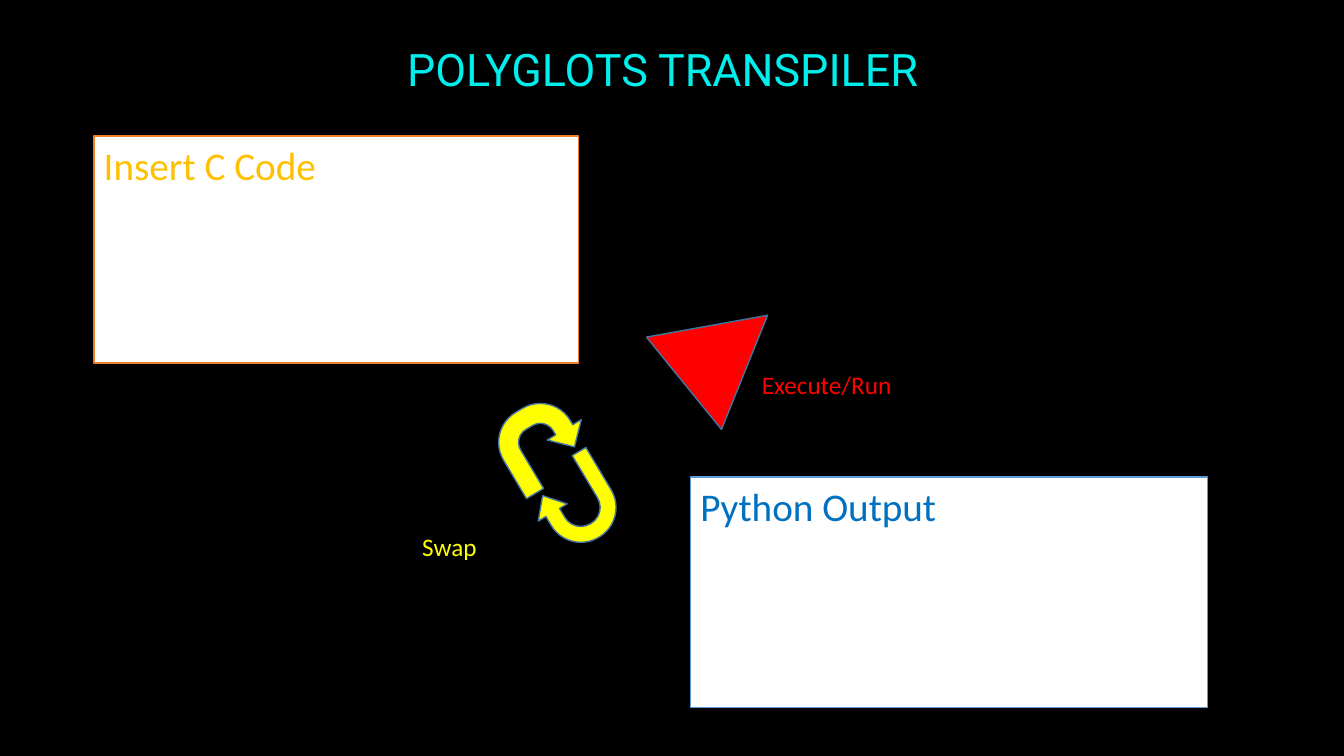
import pptx
import pptx.util
import pptx.dml.color
import pptx.enum.shapes
import pptx.enum.text
from dataclasses import dataclass

Pt = pptx.util.Pt
Shape = pptx.enum.shapes.MSO_SHAPE
Anchor = pptx.enum.text.MSO_ANCHOR
Align = pptx.enum.text.PP_ALIGN


@dataclass(frozen=True)
class Theme:
    background: str = "000000"
    title: str = "00EEEC"
    panel: str = "FFFFFF"
    input_line: str = "ED7D31"
    input_text: str = "FFC000"
    output_line: str = "5B9BD5"
    output_text: str = "0070C0"
    swap: str = "FFFF00"
    run: str = "FF0000"
    icon_line: str = "43739E"
    title_font: str = "Roboto"
    body_font: str = "Calibri"
    title_size: int = 32
    panel_size: int = 28
    label_size: int = 18


theme = Theme()


def add_figure(kind, bounds, fill, line, rotation=0):
    figure = page.shapes.add_shape(kind, *map(Pt, bounds))
    figure.shadow.inherit = False
    figure.fill.solid()
    figure.fill.fore_color.rgb = pptx.dml.color.RGBColor.from_string(fill)
    figure.line.color.rgb = pptx.dml.color.RGBColor.from_string(line)
    figure.line.width = Pt(1)
    figure.rotation = rotation
    return figure


def write_text(box, text, font, size, color):
    frame = box.text_frame
    frame.word_wrap = True
    frame.vertical_anchor = Anchor.TOP
    para = frame.paragraphs[0]
    para.text = text
    para.alignment = Align.LEFT
    para.font.name = font
    para.font.size = Pt(size)
    para.font.color.rgb = pptx.dml.color.RGBColor.from_string(color)


deck = pptx.Presentation()
deck.slide_width, deck.slide_height = Pt(960), Pt(540)
page = deck.slides.add_slide(deck.slide_layouts[6])
page.background.fill.solid()
page.background.fill.fore_color.rgb = pptx.dml.color.RGBColor.from_string(theme.background)

title = page.shapes.add_textbox(Pt(283.7), Pt(26.6), Pt(676), Pt(46))
write_text(title, "POLYGLOTS TRANSPILER", theme.title_font, theme.title_size, theme.title)

panels = [
    ("Insert C Code", (67, 97.2, 346.3, 162), theme.input_line, theme.input_text),
    ("Python Output", (493.2, 340.6, 369.4, 164.9), theme.output_line, theme.output_text),
]
for text, bounds, line, color in panels:
    panel = add_figure(Shape.RECTANGLE, bounds, theme.panel, line)
    write_text(panel, text, theme.body_font, theme.panel_size, color)

add_figure(Shape.U_TURN_ARROW, (357.1, 287.3, 62.6, 56.9), theme.swap, theme.icon_line, 329.2)
return_arrow = add_figure(
    Shape.U_TURN_ARROW, (381.6, 329.8, 56.2, 59.8), theme.swap, theme.icon_line, 149.1
)
for index, value in enumerate((0.202, 0.214, 0.25, 0.438, 0.772)):
    return_arrow.adjustments[index] = value
add_figure(Shape.ISOSCELES_TRIANGLE, (475.9, 211, 85, 77), theme.run, theme.icon_line, 50.9)

labels = [
    ("Swap", (294.5, 375.8, 75.6, 28.8), theme.swap),
    ("Execute/Run", (537.1, 260.6, 120.2, 28.8), theme.run),
]
for text, bounds, color in labels:
    label = page.shapes.add_textbox(*map(Pt, bounds))
    write_text(label, text, theme.body_font, theme.label_size, color)

deck.save("out.pptx")
